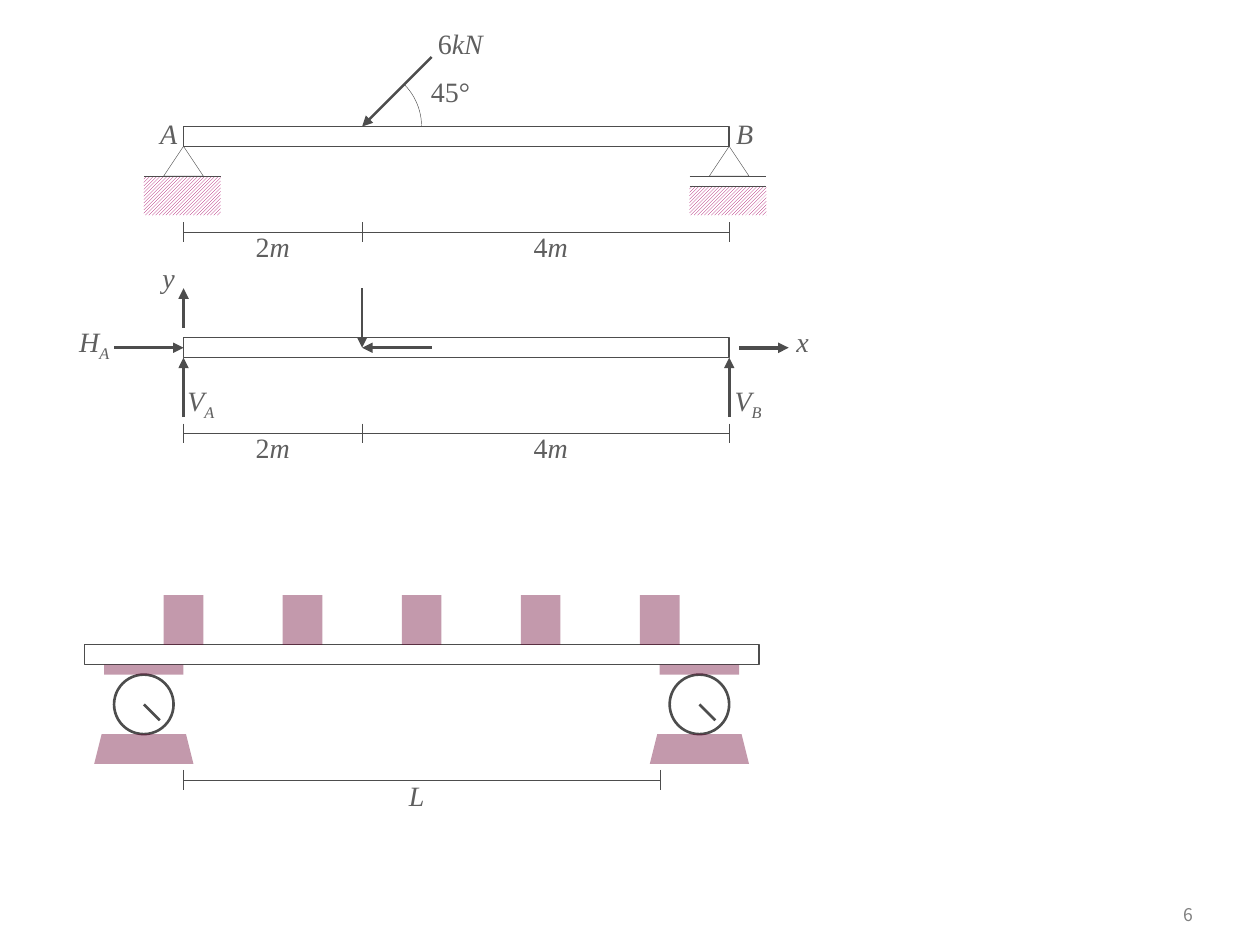
import pptx
import pptx.dml.color
import pptx.enum.dml
import pptx.enum.shapes
import pptx.enum.text
import pptx.oxml
import pptx.oxml.ns
import pptx.util
from lxml import etree

INK = pptx.dml.color.RGBColor(0x4D, 0x4D, 0x4D)
LABEL = pptx.dml.color.RGBColor(0x5F, 0x5F, 0x5F)
PAGE_GREY = pptx.dml.color.RGBColor(0x80, 0x80, 0x80)
HATCH = pptx.dml.color.RGBColor(0xA9, 0x01, 0x65)
WINE = pptx.dml.color.RGBColor(0x6B, 0x01, 0x31)
WHITE = pptx.dml.color.RGBColor(0xFF, 0xFF, 0xFF)

KIND = pptx.enum.shapes.MSO_SHAPE
ALIGN = pptx.enum.text.PP_ALIGN
CELL = pptx.util.Mm(2)  # columns and rows of the drawing grid
THIN, MEDIUM, THICK = 0.25, 0.75, 1.5
LEFT_END, LOAD, RIGHT_END = 18.5, 36.5, 73.5  # columns along the beam

presentation = pptx.Presentation()
presentation.slide_width = pptx.util.Inches(10)
presentation.slide_height = pptx.util.Inches(7.5)
slide = presentation.slides.add_slide(presentation.slide_layouts[6])


def add_shape(kind, column, row, columns, rows, fill=None, line=None):
    """Place a shape on the grid; a solid fill is 40 % opaque."""
    box = [int(CELL * value) for value in (column, row, columns, rows)]
    shape = slide.shapes.add_shape(kind, *box)
    shape.shadow.inherit = False
    if fill is None:
        shape.fill.background()
    elif fill == HATCH:
        shape.fill.patterned()
        shape.fill.pattern = pptx.enum.dml.MSO_PATTERN.LIGHT_UPWARD_DIAGONAL
        shape.fill.fore_color.rgb = HATCH
        shape.fill.back_color.rgb = WHITE
    else:
        shape.fill.solid()
        shape.fill.fore_color.rgb = fill
        color = shape._element.spPr.find(".//" + pptx.oxml.ns.qn("a:srgbClr"))
        etree.SubElement(color, pptx.oxml.ns.qn("a:alpha"), val="40000")
    if line is None:
        shape.line.fill.background()
    else:
        shape.line.color.rgb = INK
        shape.line.width = pptx.util.Pt(line)
    return shape


def add_line(start, end, width, arrow=False):
    """Draw a straight line between two (column, row) points."""
    points = [int(CELL * value) for value in start + end]
    line = slide.shapes.add_connector(
        pptx.enum.shapes.MSO_CONNECTOR.STRAIGHT, *points)
    line.line.color.rgb = INK
    line.line.width = pptx.util.Pt(width)
    if arrow:
        etree.SubElement(line.line._ln, pptx.oxml.ns.qn("a:tailEnd"), type="triangle")
    etree.SubElement(line._element.spPr, pptx.oxml.ns.qn("a:effectLst"))
    return line


# Loaded beam: supports, hatched ground, beam and inclined force
for support, ground_row, ground_rows in ((RIGHT_END, 18.75, 2.95), (LEFT_END, 17.75, 3.95)):
    ground = support - 4
    add_shape(KIND.RECTANGLE, ground, ground_row, 7.75, ground_rows, HATCH)
    for row in sorted({17.75, ground_row}):
        add_line((ground, row), (ground + 7.75, row), THIN)
    add_shape(KIND.ISOSCELES_TRIANGLE, support - 2, 14.75, 4, 3, line=THIN)
add_shape(KIND.RECTANGLE, LEFT_END, 12.75, 55, 2, line=MEDIUM)
add_line((LOAD + 7, 5.75), (LOAD, 12.75), THICK, arrow=True)
angle = add_shape(KIND.ARC, LOAD - 6, 6.75, 12, 12, line=THIN)
angle.adjustments[0] = 189.01

# Free body: beam, reactions, force components and axes
free_beam = add_shape(KIND.RECTANGLE, LEFT_END, 34.05, 55, 2, line=MEDIUM)
for support in (LEFT_END, RIGHT_END):
    add_line((support, 42.05), (support, 36.05), THICK, arrow=True)
horizontal = add_line((11.5, 35.05), (LEFT_END, 35.05), THICK, arrow=True)
horizontal.end_connect(free_beam, 1)
add_line((LOAD + 7, 35.05), (LOAD, 35.05), THICK, arrow=True)
add_line((LOAD, 29.05), (LOAD, 35.05), THICK, arrow=True)
add_line((LEFT_END, 33.05), (LEFT_END, 29.05), 0, arrow=True)
add_line((74.5, 35.05), (79.5, 35.05), 0, arrow=True)

# Beam on rollers: beam, bearings and evenly spaced blocks
add_shape(KIND.RECTANGLE, 8.5, 65, 68, 2, line=MEDIUM)
for center in (14.5, 70.5):
    add_shape(KIND.OVAL, center - 3, 68, 6, 6, WHITE, THICK)
    add_shape(KIND.TRAPEZOID, center - 5, 74, 10, 3, WINE)
    add_shape(KIND.RECTANGLE, center - 4, 67, 8, 1, WINE)
    add_line((center, 71), (center + 1.6, 72.6), THICK)
for block in range(5):
    add_shape(KIND.RECTANGLE, 16.5 + 12 * block, 60, 4, 5, WINE)

# Dimension lines with end ticks
for row, ticks in (
    (23.4, (LEFT_END, LOAD, RIGHT_END)),
    (43.7, (LEFT_END, LOAD, RIGHT_END)),
    (78.6, (LEFT_END, 66.5)),
):
    add_line((ticks[0], row), (ticks[-1], row), THIN)
    for tick in ticks:
        add_line((tick, row - 1), (tick, row + 1), THIN)

# Labels: upright, italic and subscript text, centre column, top row
labels = [
    ("", "A", "", 17, 11.8),
    ("", "B", "", 75.05, 11.8),
    ("6", "kN", "", 46.4, 2.7),
    ("45°", "", "", 45.4, 7.5),
    ("", "V", "A", 20.25, 38.7),
    ("", "V", "B", 75.4, 38.7),
    ("", "H", "A", 9.5, 32.75),
    ("", "x", "", 80.9, 32.75),
    ("", "y", "", 17, 26.3),
    ("", "L", "", 42, 78.5),
]
for row in (23.1, 43.4):
    labels += [("2", "m", "", 27.5, row), ("4", "m", "", 55.5, row)]
for upright, italic, subscript, center, row in labels:
    box = [int(CELL * value) for value in (center - 2.5, row, 5, 3.7)]
    frame = slide.shapes.add_textbox(*box).text_frame
    frame_format = {"margin_left": 0, "margin_right": 0, "margin_top": 0,
                    "margin_bottom": 0, "word_wrap": False}
    for name, value in frame_format.items():
        setattr(frame, name, value)
    paragraph = frame.paragraphs[0]
    paragraph.alignment = ALIGN.CENTER
    for text, slanted, baseline in (
        (upright, False, None), (italic, True, None), (subscript, True, "-25000")
    ):
        if not text:
            continue
        run = paragraph.add_run()
        run.text = text
        run_format = {"name": "Times New Roman", "size": pptx.util.Pt(16), "italic": slanted}
        for name, value in run_format.items():
            setattr(run.font, name, value)
        run.font.color.rgb = LABEL
        if baseline:
            run.font._element.set("baseline", baseline)

# Page number
page_box = [pptx.util.Inches(value) for value in (8.86, 7.09, 0.71, 0.33)]
frame = slide.shapes.add_textbox(*page_box).text_frame
frame.word_wrap = True
frame.vertical_anchor = pptx.enum.text.MSO_ANCHOR.MIDDLE
paragraph = frame.paragraphs[0]
paragraph.alignment = ALIGN.RIGHT
run = paragraph.add_run()
run.text = "6"
for name, value in {"name": "Noto Sans CJK KR", "size": pptx.util.Pt(10)}.items():
    setattr(run.font, name, value)
run.font.color.rgb = PAGE_GREY

presentation.save("out.pptx")
